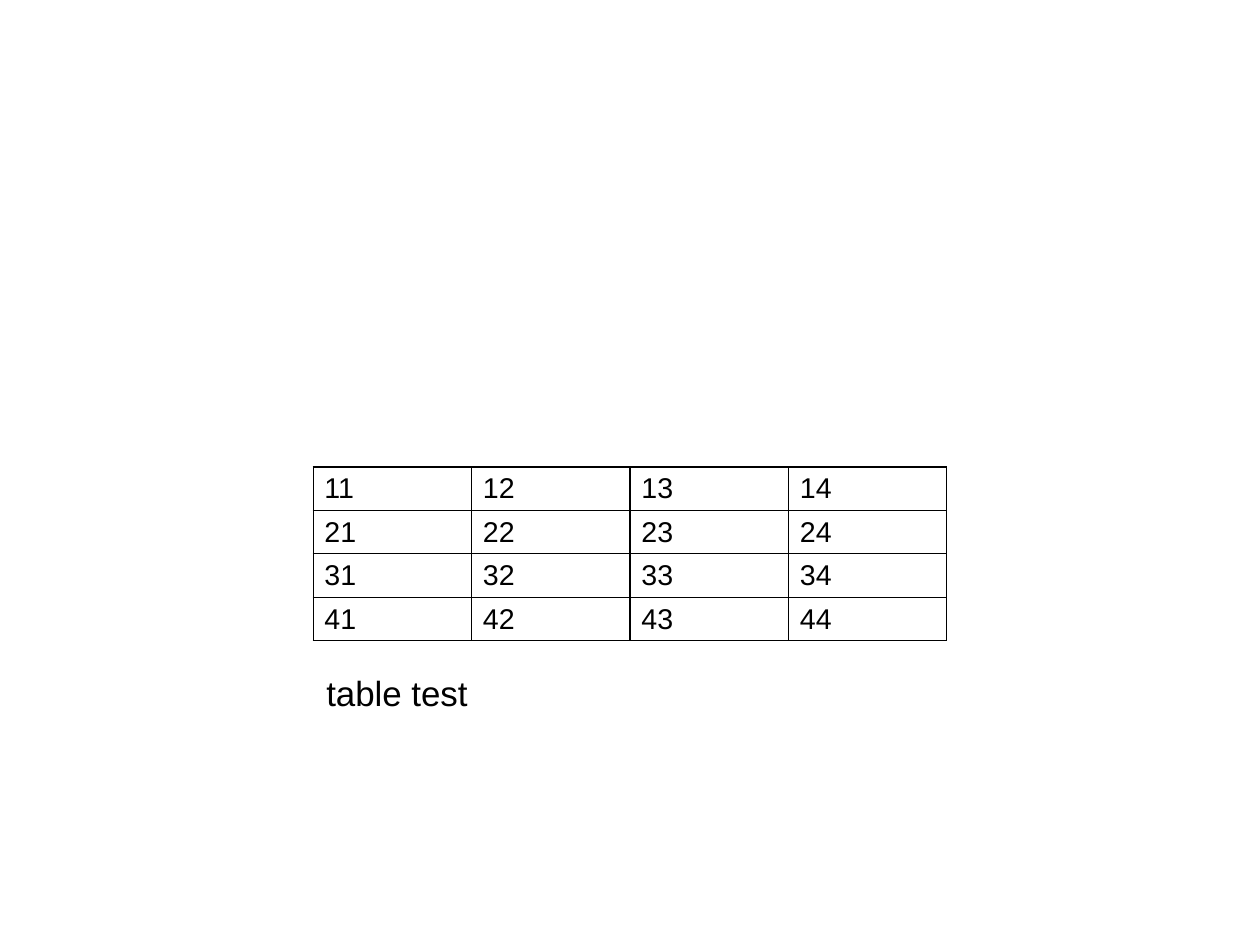
from lxml.etree import SubElement
from pptx import Presentation
from pptx.dml.color import RGBColor
from pptx.enum.text import MSO_ANCHOR
from pptx.oxml.ns import qn
from pptx.util import Pt

EMU_PER_PX = 8000
COLORS = {"ink": "000000", "paper": "FFFFFF"}


def px(length):
    return round(length * EMU_PER_PX)


class SlideBuilder:
    font_name = "Arial"
    border_width = Pt(0.75)

    def __init__(self, slide):
        self.slide = slide
        background = slide.background.fill
        background.solid()
        background.fore_color.rgb = RGBColor.from_string(COLORS["paper"])

    def set_text(self, frame, text, size):
        paragraph = frame.paragraphs[0]
        paragraph.text = text
        paragraph.font.name = self.font_name
        paragraph.font.size = Pt(size)
        paragraph.font.color.rgb = RGBColor.from_string(COLORS["ink"])

    def label(self, text, left, top, width, height, size):
        box = self.slide.shapes.add_textbox(px(left), px(top), px(width), px(height))
        box.text_frame.word_wrap = False
        self.set_text(box.text_frame, text, size)

    def outline(self, cell):
        """Draw a thin line on all four sides of the cell."""
        properties = cell._tc.get_or_add_tcPr()
        for side in ("lnL", "lnR", "lnT", "lnB"):
            line = SubElement(properties, qn(f"a:{side}"), w=str(self.border_width))
            fill = SubElement(line, qn("a:solidFill"))
            SubElement(fill, qn("a:srgbClr"), val=COLORS["ink"])

    def grid(self, rows, left, top, width, height, size):
        """Add a bordered table with equal rows and equal columns."""
        table = self.slide.shapes.add_table(
            len(rows), len(rows[0]), px(left), px(top), px(width), px(height)
        ).table
        table.first_row = False
        table.horz_banding = False
        for r, row in enumerate(rows):
            for c, value in enumerate(row):
                cell = table.cell(r, c)
                cell.margin_top = cell.margin_bottom = px(5)
                cell.vertical_anchor = MSO_ANCHOR.MIDDLE
                self.outline(cell)
                cell.fill.background()
                self.set_text(cell.text_frame, value, size)


def main():
    deck = Presentation()
    deck.slide_width, deck.slide_height = px(1260), px(945)
    builder = SlideBuilder(deck.slides.add_slide(deck.slide_layouts[6]))

    numbers = [[f"{row}{column}" for column in range(1, 5)] for row in range(1, 5)]
    builder.grid(numbers, left=313, top=467, width=634, height=174, size=18)
    builder.label("table test", left=315, top=666, width=165, height=50, size=22)

    deck.save("out.pptx")


if __name__ == "__main__":
    main()
